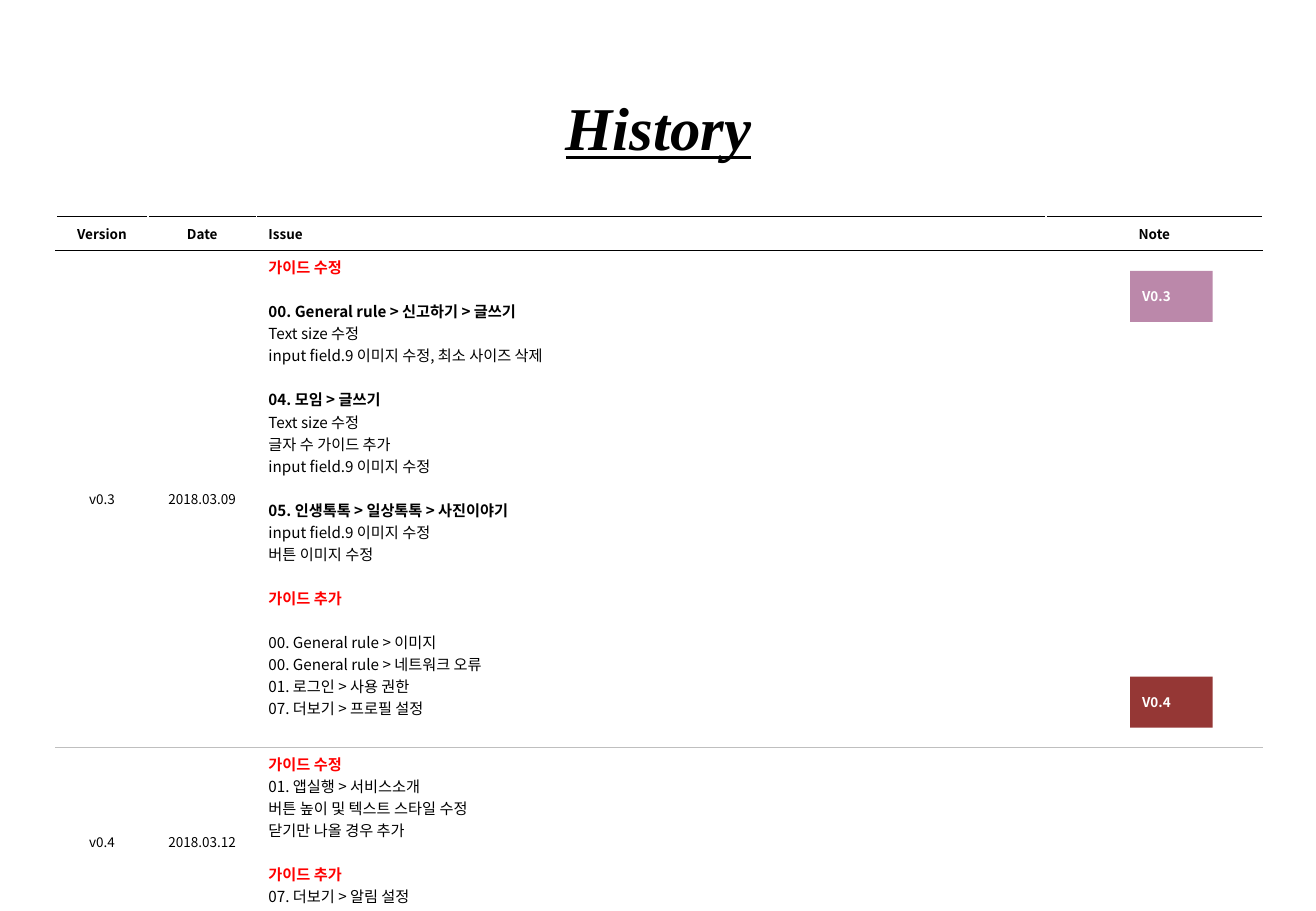
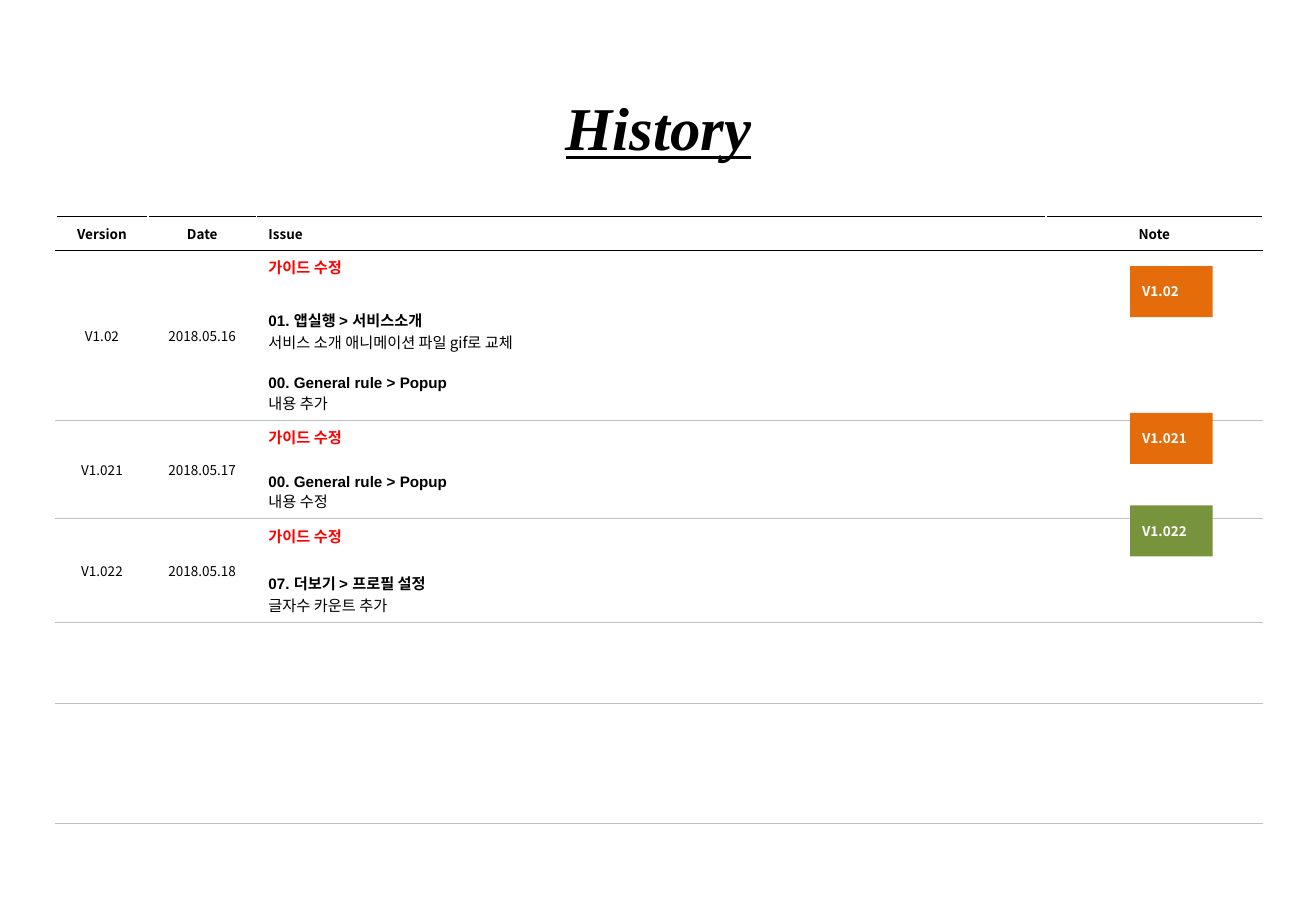
import collections

import pptx
import pptx.dml.color
import pptx.enum.shapes
import pptx.enum.text
import pptx.oxml
import pptx.oxml.ns
import pptx.util

RGB = pptx.dml.color.RGBColor
Inches = pptx.util.Inches
Pt = pptx.util.Pt
Align = pptx.enum.text.PP_ALIGN
Anchor = pptx.enum.text.MSO_ANCHOR

BLACK = RGB(0x00, 0x00, 0x00)
WHITE = RGB(0xFF, 0xFF, 0xFF)
RED = RGB(0xFF, 0x00, 0x00)
GREY = RGB(0xBF, 0xBF, 0xBF)
MAUVE = RGB(0xBB, 0x88, 0xAA)
BRICK = RGB(0x95, 0x37, 0x35)
ORANGE = RGB(0xE4, 0x6C, 0x0A)
GREEN = RGB(0x77, 0x93, 0x3C)

KOREAN_FONT = "Noto Sans CJK KR"
LATIN_FONT = "Arial"
TITLE_FONT = "Times New Roman"

SLIDE_WIDTH, SLIDE_HEIGHT = 10.83, 7.5
TABLE_LEFT, TABLE_TOP = 0.46, 1.78
COLUMN_WIDTHS = (0.76, 0.89, 6.5, 1.78)
HEADER_HEIGHT = 0.28
HEADERS = ("Version", "Date", "Issue", "Note")
ISSUE_COLUMN = 2
BADGE_LEFT, BADGE_WIDTH, BADGE_HEIGHT = 9.3, 0.68, 0.42
LINE_GAP = 13

Style = collections.namedtuple("Style", "size color bold font")
HEADER = Style(8, BLACK, True, KOREAN_FONT)
LABEL = Style(8, BLACK, False, KOREAN_FONT)
BADGE = Style(8, WHITE, True, KOREAN_FONT)
CHANGE = Style(9, RED, True, KOREAN_FONT)
TOPIC = Style(9, BLACK, True, KOREAN_FONT)
DETAIL = Style(9, BLACK, False, KOREAN_FONT)
LATIN_TOPIC = Style(9, BLACK, True, LATIN_FONT)
LATIN_DETAIL = Style(9, BLACK, False, LATIN_FONT)

Line = collections.namedtuple("Line", "text style gap", defaults=(DETAIL, 0))
Release = collections.namedtuple("Release", "height version date lines", defaults=("", "", ()))
Badge = collections.namedtuple("Badge", "text top color")

FIRST_RELEASES = (
    Release(4.09, "v0.3", "2018.03.09", (
        Line("가이드 수정", CHANGE),
        Line("00. General rule > 신고하기 > 글쓰기", TOPIC, LINE_GAP),
        Line("Text size 수정"),
        Line("input field.9 이미지 수정, 최소 사이즈 삭제"),
        Line("04. 모임 > 글쓰기", TOPIC, LINE_GAP),
        Line("Text size 수정"),
        Line("글자 수 가이드 추가"),
        Line("input field.9 이미지 수정"),
        Line("05. 인생톡톡 > 일상톡톡 > 사진이야기", TOPIC, LINE_GAP),
        Line("input field.9 이미지 수정"),
        Line("버튼 이미지 수정"),
        Line("가이드 추가", CHANGE, LINE_GAP),
        Line("00. General rule > 이미지", DETAIL, LINE_GAP),
        Line("00. General rule > 네트워크 오류"),
        Line("01. 로그인 > 사용 권한"),
        Line("07. 더보기 > 프로필 설정"),
    )),
    Release(1.56, "v0.4", "2018.03.12", (
        Line("가이드 수정", CHANGE),
        Line("01. 앱실행 > 서비스소개"),
        Line("버튼 높이 및 텍스트 스타일 수정"),
        Line("닫기만 나올 경우 추가"),
        Line("가이드 추가", CHANGE, LINE_GAP),
        Line("07. 더보기 > 알림 설정"),
        Line("가이드 추가"),
    )),
)
FIRST_BADGES = (Badge("V0.3", 2.23, MAUVE), Badge("V0.4", 5.57, BRICK))

LATER_RELEASES = (
    Release(1.38, "V1.02", "2018.05.16", (
        Line("가이드 수정", CHANGE),
        Line("01. 앱실행 > 서비스소개", LATIN_TOPIC, 18),
        Line("서비스 소개 애니메이션 파일 gif로 교체"),
        Line("00. General rule > Popup", LATIN_TOPIC, LINE_GAP),
        Line("내용 추가", LATIN_DETAIL),
    )),
    Release(0.81, "V1.021", "2018.05.17", (
        Line("가이드 수정", CHANGE),
        Line("00. General rule > Popup", LATIN_TOPIC, 15),
        Line("내용 수정", LATIN_DETAIL),
    )),
    Release(0.85, "V1.022", "2018.05.18", (
        Line("가이드 수정", CHANGE),
        Line("07. 더보기 > 프로필 설정", LATIN_TOPIC, 15),
        Line("글자수 카운트 추가", LATIN_DETAIL),
    )),
    Release(0.67),
    Release(0.99),
)
LATER_BADGES = (
    Badge("V1.02", 2.19, ORANGE),
    Badge("V1.021", 3.4, ORANGE),
    Badge("V1.022", 4.16, GREEN),
)


def write_lines(frame, lines, align=Align.LEFT):
    """Fill a text frame with one styled paragraph per line."""
    frame.text = "\n".join(line.text for line in lines)
    for para, line in zip(frame.paragraphs, lines):
        para.alignment = align
        para.space_before = Pt(line.gap)
        for span in para.runs:
            span.font.size = Pt(line.style.size)
            span.font.bold = line.style.bold
            span.font.color.rgb = line.style.color
            span.font.name = line.style.font
            properties = span.font._element
            east_asian = pptx.oxml.parse_xml(
                f'<a:ea {pptx.oxml.ns.nsdecls("a")} typeface="{KOREAN_FONT}"/>')
            properties.append(east_asian)


def set_borders(cell, top, bottom):
    """Give a cell white sides and the given rules above and below."""
    properties = cell._tc.get_or_add_tcPr()
    sides = (("L", WHITE, 1), ("R", WHITE, 1), ("T", top, 0.5), ("B", bottom, 0.5))
    for side, color, width in sides:
        properties.append(pptx.oxml.parse_xml(
            f'<a:ln{side} {pptx.oxml.ns.nsdecls("a")} w="{Pt(width)}">'
            f'<a:solidFill><a:srgbClr val="{color}"/></a:solidFill></a:ln{side}>'))


def add_title(page):
    """Set the underlined page title in its placeholder."""
    title = page.shapes.title
    title.left, title.top = Inches(1.09), Inches(0.74)
    title.width, title.height = Inches(8.66), Inches(0.49)
    frame = title.text_frame
    frame.auto_size = pptx.enum.text.MSO_AUTO_SIZE.NONE
    frame.vertical_anchor = Anchor.MIDDLE
    frame.margin_top, frame.margin_bottom = Inches(0.11), 0
    write_lines(frame, [Line("History", Style(36, BLACK, True, TITLE_FONT))], Align.CENTER)
    font = frame.paragraphs[0].runs[0].font
    font.italic = font.underline = True


def add_history_table(page, releases):
    """Add the table of releases below a header row."""
    heights = [HEADER_HEIGHT] + [release.height for release in releases]
    table = page.shapes.add_table(
        len(heights), len(COLUMN_WIDTHS), Inches(TABLE_LEFT), Inches(TABLE_TOP),
        Inches(sum(COLUMN_WIDTHS)), Inches(sum(heights))).table
    table.first_row = table.horz_banding = False
    for column, width in zip(table.columns, COLUMN_WIDTHS):
        column.width = Inches(width)
    contents = [[[Line(text, HEADER)] for text in HEADERS]]
    for release in releases:
        contents.append([[Line(release.version, LABEL)], [Line(release.date, LABEL)],
                         release.lines, ()])
    for row_index, texts in enumerate(contents):
        table.rows[row_index].height = Inches(heights[row_index])
        for column_index, lines in enumerate(texts):
            cell = table.cell(row_index, column_index)
            is_issue = column_index == ISSUE_COLUMN
            cell.vertical_anchor = Anchor.TOP if is_issue and row_index else Anchor.MIDDLE
            set_borders(cell, BLACK if row_index < 2 else GREY, GREY if row_index else BLACK)
            cell.fill.background()
            if lines:
                write_lines(cell.text_frame, lines, Align.LEFT if is_issue else Align.CENTER)


def add_badge(page, badge):
    """Add a coloured version badge in the note column."""
    box = page.shapes.add_shape(
        pptx.enum.shapes.MSO_SHAPE.RECTANGLE, Inches(BADGE_LEFT), Inches(badge.top),
        Inches(BADGE_WIDTH), Inches(BADGE_HEIGHT))
    box.shadow.inherit = False
    box.fill.solid()
    box.fill.fore_color.rgb = badge.color
    box.line.fill.background()
    box.text_frame.vertical_anchor = Anchor.MIDDLE
    write_lines(box.text_frame, [Line(badge.text, BADGE)])


def add_history_page(deck, releases, badges):
    """Add one page of the revision history."""
    page = deck.slides.add_slide(deck.slide_layouts[5])
    add_title(page)
    add_history_table(page, releases)
    for badge in badges:
        add_badge(page, badge)


def main():
    """Build and save the revision history."""
    deck = pptx.Presentation()
    deck.slide_width, deck.slide_height = Inches(SLIDE_WIDTH), Inches(SLIDE_HEIGHT)
    add_history_page(deck, FIRST_RELEASES, FIRST_BADGES)
    add_history_page(deck, LATER_RELEASES, LATER_BADGES)
    deck.save("out.pptx")


if __name__ == "__main__":
    main()
